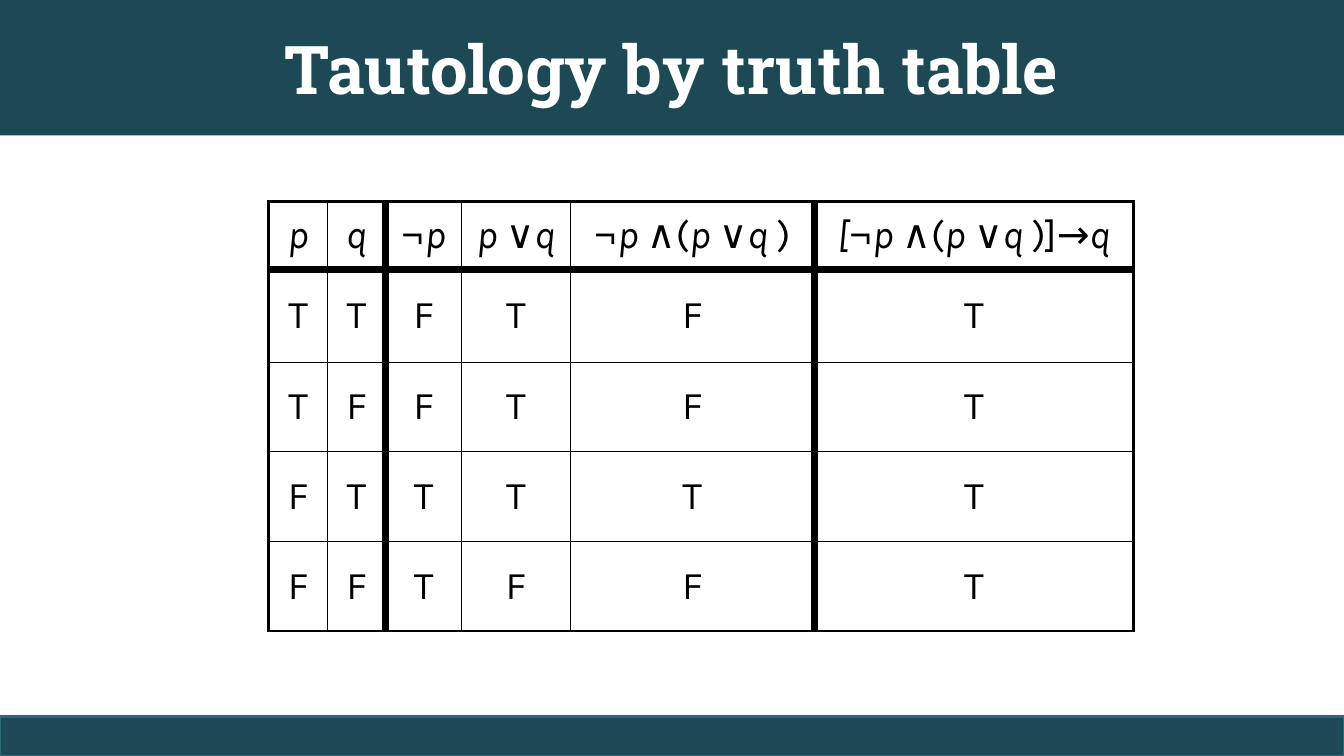
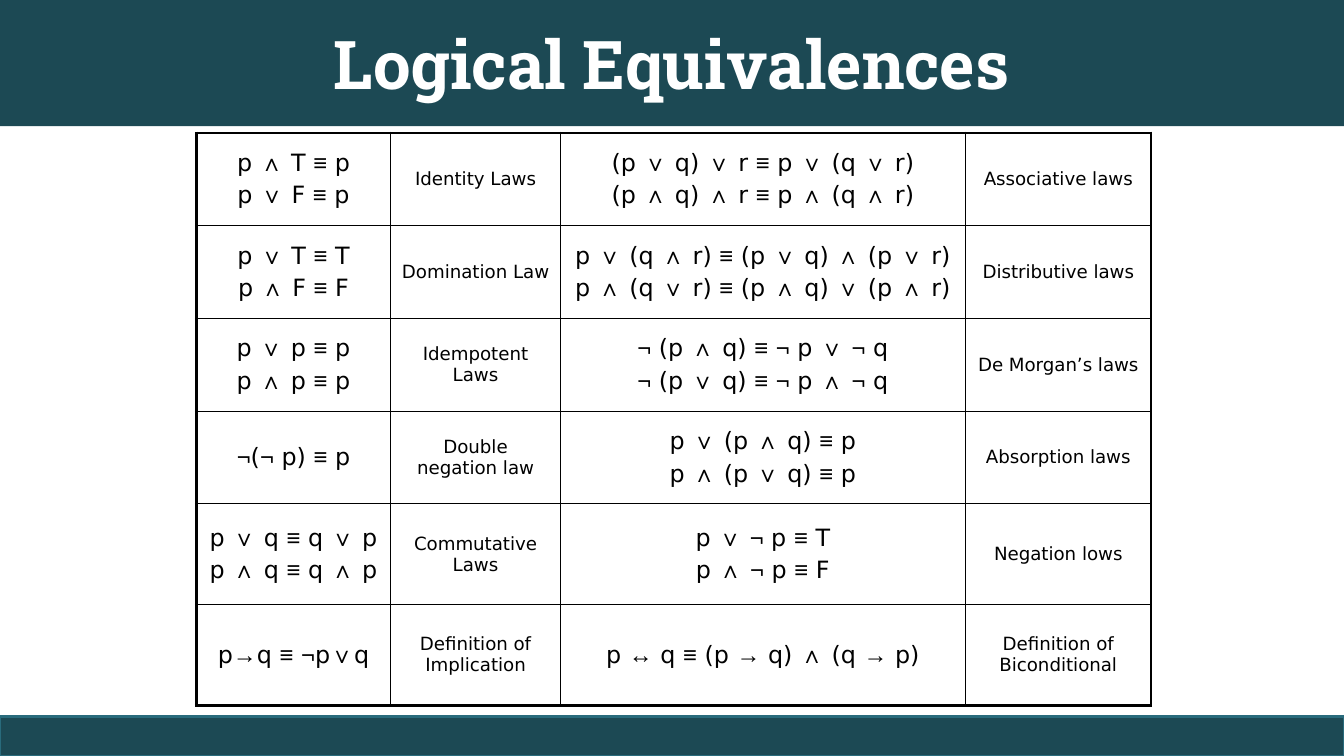
from itertools import groupby

from lxml.etree import SubElement
from pptx import Presentation
from pptx.dml.color import RGBColor as Rgb
from pptx.enum.shapes import MSO_SHAPE as Shape
from pptx.enum.text import MSO_ANCHOR as Anchor, PP_ALIGN as Align
from pptx.oxml.ns import qn
from pptx.util import Inches, Pt

COLOURS = {"band": "1C4954", "edge": "296B7C", "title": "FFFFFF", "ink": "000000"}
WIDTH, HEIGHT = Inches(13.33), Inches(7.5)
BAND_TOP = 0.948

TITLE = {"name": "Roboto Slab", "size": Pt(48), "bold": True}
VALUE = {"name": "Karla", "size": Pt(28), "bold": False, "italic": False}
LETTER = {**VALUE, "italic": True}
NEGATION = {**LETTER, "name": "Times New Roman", "bold": True}
LAW = {"name": "DejaVu Sans", "size": Pt(13), "bold": False}
FORMULA = {**LAW, "size": Pt(17)}
OPERATOR = {**FORMULA, "name": "Arial"}

value_style = [("", VALUE)]
header_style = [("¬", NEGATION), ("pq [", LETTER), ("", VALUE)]
law_style = [("", LAW)]
formula_style = [("∧∨≡¬→↔", OPERATOR), ("", FORMULA)]

SLIDES = [
    {
        "title": "Tautology by truth table",
        "title_height": 0.179,
        "corner": (0.2, 0.267),
        "columns": [0.58, 0.58, 0.75, 1.08, 2.42, 3.17],
        "rows": [0.67, 0.92, 0.89, 0.89, 0.89],
        "vertical": [2.25, 1, 6, 1, 1, 6, 2.25],
        "horizontal": [2.25, 6, 0.25, 1, 1, 2.25],
        "styles": [[header_style] * 6] + [[value_style] * 6] * 4,
        "cells": [
            ["p", "q", "¬p", "p ∨q", "¬p ∧(p ∨q )", "[¬p ∧(p ∨q )]→q"],
            *map(list, ["TTFTFT", "TFFTFT", "FTTTTT", "FFTFFT"]),
        ],
    },
    {
        "title": "Logical Equivalences",
        "title_height": 0.167,
        "corner": (0.146, 0.176),
        "columns": [1.93, 1.68, 4.02, 1.84],
        "rows": [0.92] * 4 + [1] * 2,
        "vertical": [2.25, 1, 1, 1, 2.25],
        "horizontal": [2.25, 1, 1, 1, 1, 1, 2.25],
        "styles": [[formula_style, law_style] * 2] * 6,
        "cells": [
            ["p ∧ T ≡ p\np ∨ F ≡ p", "Identity Laws",
             "(p ∨ q) ∨ r ≡ p ∨ (q ∨ r)\n(p ∧ q) ∧ r ≡ p ∧ (q ∧ r)", "Associative laws"],
            ["p ∨ T ≡ T\np ∧ F ≡ F", "Domination Law",
             "p ∨ (q ∧ r) ≡ (p ∨ q) ∧ (p ∨ r)\np ∧ (q ∨ r) ≡ (p ∧ q) ∨ (p ∧ r)",
             "Distributive laws"],
            ["p ∨ p ≡ p\np ∧ p ≡ p", "Idempotent Laws",
             "¬ (p ∧ q) ≡ ¬ p ∨ ¬ q\n¬ (p ∨ q) ≡ ¬ p ∧ ¬ q", "De Morgan’s laws"],
            ["¬(¬ p) ≡ p", "Double negation law",
             "p ∨ (p ∧ q) ≡ p\np ∧ (p ∨ q) ≡ p", "Absorption laws"],
            ["p ∨ q ≡ q ∨ p\np ∧ q ≡ q ∧ p", "Commutative Laws",
             "p ∨ ¬ p ≡ T\np ∧ ¬ p ≡ F", "Negation lows"],
            ["p→q ≡ ¬p∨q", "Definition of Implication",
             "p ↔ q ≡ (p → q) ∧ (q → p)", "Definition of Biconditional"],
        ],
    },
]


def write_line(para, text, styles, colour):
    para.alignment = Align.CENTER
    pick = lambda sign: next(form for signs, form in styles if not signs or sign in signs)
    for form, signs in groupby(text, pick):
        span = para.add_run()
        span.text = "".join(signs)
        span.font.color.rgb = Rgb.from_string(COLOURS[colour])
        for name, value in form.items():
            setattr(span.font, name, value)


def draw_borders(cell, widths):
    props = cell._tc.get_or_add_tcPr()
    for side, width in zip("LRTB", widths):
        line = SubElement(props, qn(f"a:ln{side}"), w=str(Pt(width)))
        fill = SubElement(line, qn("a:solidFill"))
        SubElement(fill, qn("a:srgbClr"), val=COLOURS["ink"])


deck = Presentation()
deck.slide_width, deck.slide_height = WIDTH, HEIGHT
title_only = deck.slide_layouts[5]

for content in SLIDES:
    page = deck.slides.add_slide(title_only)

    title = page.shapes.title
    title.left, title.top = 0, 0
    title.width, title.height = WIDTH, int(HEIGHT * content["title_height"])
    title.text_frame.vertical_anchor = Anchor.MIDDLE
    write_line(title.text_frame.paragraphs[0], content["title"], [("", TITLE)], "title")

    band_top = int(HEIGHT * BAND_TOP)
    band = page.shapes.add_shape(Shape.RECTANGLE, 0, band_top, WIDTH, HEIGHT - band_top)
    band.shadow.inherit = False
    band.line.color.rgb = Rgb.from_string(COLOURS["edge"])
    band.line.width = Pt(2)
    for box in (title, band):
        box.fill.solid()
        box.fill.fore_color.rgb = Rgb.from_string(COLOURS["band"])

    columns, rows = content["columns"], content["rows"]
    left, top = content["corner"]
    table = page.shapes.add_table(
        len(rows), len(columns), int(WIDTH * left), int(HEIGHT * top),
        Inches(sum(columns)), Inches(sum(rows))).table
    table.first_row = table.horz_banding = False
    for column, width in zip(table.columns, columns):
        column.width = Inches(width)

    vertical, horizontal = content["vertical"], content["horizontal"]
    for r, height in enumerate(rows):
        table.rows[r].height = Inches(height)
        for c, text in enumerate(content["cells"][r]):
            cell = table.cell(r, c)
            draw_borders(cell, vertical[c:c + 2] + horizontal[r:r + 2])
            cell.fill.background()
            cell.vertical_anchor = Anchor.MIDDLE
            for number, line in enumerate(text.split("\n")):
                frame = cell.text_frame
                para = frame.add_paragraph() if number else frame.paragraphs[0]
                if number:
                    para.space_before = Pt(3.4)
                write_line(para, line, content["styles"][r][c], "ink")

deck.save("out.pptx")
